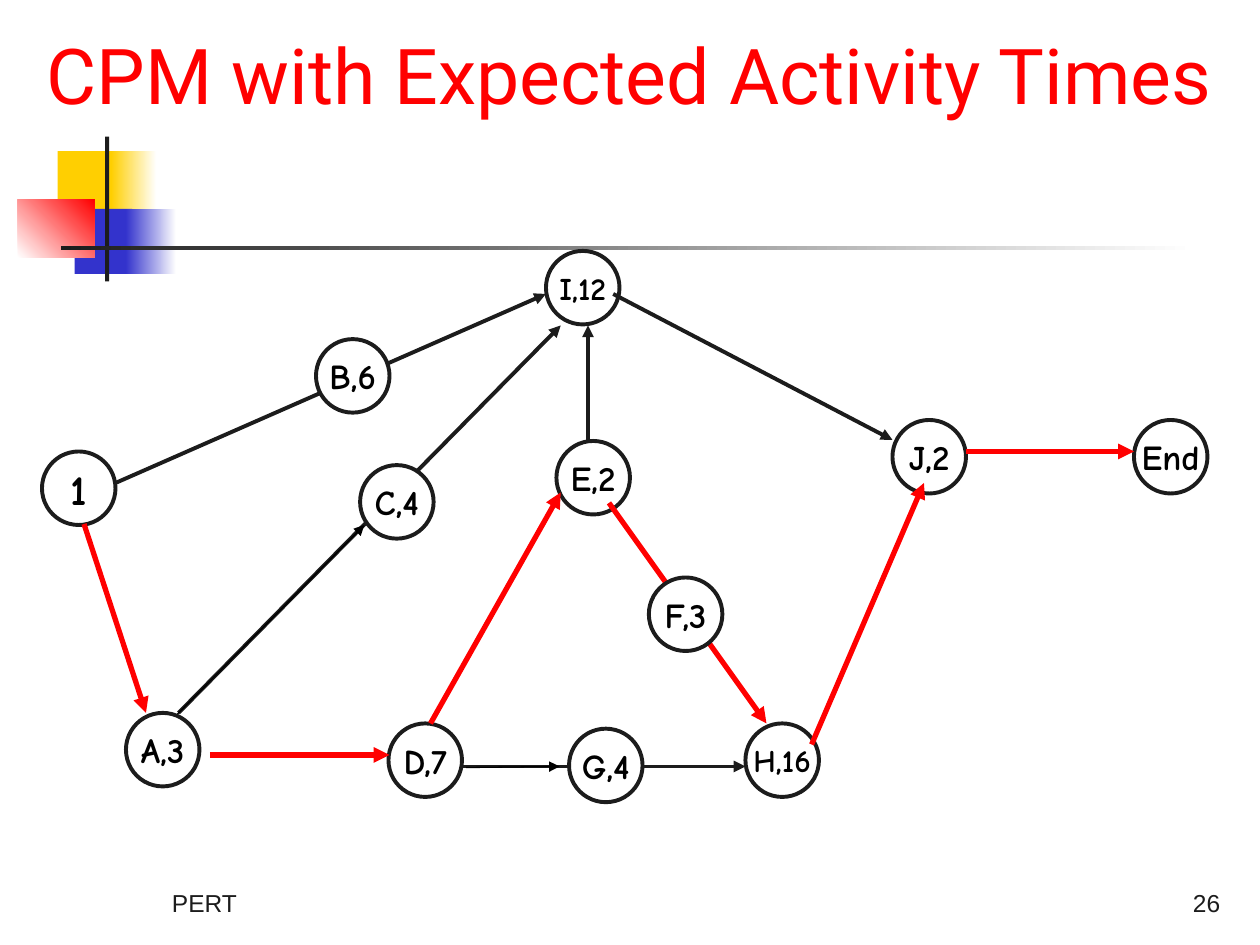
from lxml import etree
from pptx import Presentation
from pptx.dml.color import RGBColor
from pptx.enum.shapes import MSO_CONNECTOR, MSO_SHAPE
from pptx.enum.text import MSO_ANCHOR, MSO_AUTO_SIZE, PP_ALIGN
from pptx.oxml.ns import qn
from pptx.util import Inches, Pt

ELLIPSE, RECTANGLE = MSO_SHAPE.OVAL, MSO_SHAPE.RECTANGLE
STRAIGHT = MSO_CONNECTOR.STRAIGHT
BOTTOM, MIDDLE = MSO_ANCHOR.BOTTOM, MSO_ANCHOR.MIDDLE
LEFT, CENTER, RIGHT = PP_ALIGN.LEFT, PP_ALIGN.CENTER, PP_ALIGN.RIGHT
NO_AUTOFIT = MSO_AUTO_SIZE.NONE

COLUMNS, ROWS = 120, 90
NODE_SIZE = 7
INK, RED, BLACK, WHITE = "1C1C1C", "FF0000", "000000", "FFFFFF"
YELLOW, BLUE = "FFCF01", "3333CC"

# left, top, width, height, colours from start to end, gradient angle
ORNAMENT = [
    (5.5, 14.4, 5.8, 6.2, [YELLOW], 0),
    (10.6, 14.4, 4.3, 6.2, [YELLOW, WHITE], 0),
    (7.1, 19.9, 5.5, 6.2, [BLUE], 0),
    (12, 19.9, 4.8, 6.2, [BLUE, WHITE], 0),
    (1.7, 19, 7.3, 5.5, [WHITE, RED], 45),
    (10, 13, 0.4, 13.8, [INK], 0),
    (5.8, 23.4, 108, 0.4, [INK, WHITE], 0),
]
# label, left, top, text size
MAIN_ACTIVITIES = [
    ("1", 4, 43, 24), ("A,3", 12, 67.9, 20), ("D,7", 37, 68.9, 20),
    ("E,2", 53, 42, 20), ("H,16", 71, 68.9, 18), ("J,2", 85, 40, 20),
    ("I,12", 52, 23.9, 18), ("End", 108, 40, 20),
]
MIDWAY_ACTIVITIES = [
    ("B,6", 30.1, 32.3, 20), ("C,4", 34.3, 44.3, 20),
    ("F,3", 61.8, 55, 20), ("G,4", 54.2, 69.4, 20),
]
# start column and row, end column and row
CRITICAL_PATH = [
    (8, 49.9, 13.9, 67.9), (20, 71.9, 37.1, 71.9), (41, 68.9, 53.4, 46.9),
    (58, 47.9, 73, 68.9), (77.3, 70.9, 88, 46), (92, 43, 108, 43),
]
OTHER_PATHS = [
    (11, 46, 52, 28), (17, 67.9, 53.4, 31), (44, 73, 71, 73),
    (58.4, 28, 85, 41.9), (56, 41.9, 56, 31),
]
MIDWAY_ARROWS = [(16.9, 68, 34.7, 50), (44.4, 73.1, 53.3, 73)]


def rgb(value):
    return RGBColor.from_string(value)


class NetworkSlide:
    """Current slide, its cell grid and its text styles."""

    styles = {
        "title": {"name": "Roboto", "size": Pt(44), "bold": False},
        "footer": {"name": "Arial", "size": Pt(14)},
        "node": {"name": "Comic Neue", "bold": True},
    }

    def __init__(self, deck):
        self.deck = deck
        self.slide = deck.slides.add_slide(deck.slide_layouts[5])

    def cells(self, *lengths):
        """Turn alternating columns and rows into slide lengths."""
        units = (self.deck.slide_width / COLUMNS, self.deck.slide_height / ROWS)
        return [round(length * units[i % 2]) for i, length in enumerate(lengths)]

    def set_text(self, shape, text, style, colour, align, anchor, wrap=True, **extra):
        frame = shape.text_frame
        layout = {"text": text, "word_wrap": wrap, "vertical_anchor": anchor,
                  "auto_size": NO_AUTOFIT}
        for key, value in layout.items():
            setattr(frame, key, value)
        paragraph = frame.paragraphs[0]
        paragraph.alignment = align
        for key, value in {**self.styles[style], **extra}.items():
            setattr(paragraph.font, key, value)
        paragraph.font.color.rgb = rgb(colour)

    def title(self, text, *box):
        title = self.slide.shapes.title
        title.left, title.top, title.width, title.height = self.cells(*box)
        self.set_text(title, text, "title", RED, CENTER, BOTTOM)

    def footer(self, text, align, *box):
        footer = self.slide.shapes.add_textbox(*self.cells(*box))
        self.set_text(footer, text, "footer", INK, align, BOTTOM)

    def block(self, left, top, width, height, colours, angle):
        block = self.slide.shapes.add_shape(
            RECTANGLE, *self.cells(left, top, width, height))
        block.shadow.inherit = False
        block.line.fill.background()
        if len(colours) == 1:
            block.fill.solid()
            block.fill.fore_color.rgb = rgb(colours[0])
        else:
            block.fill.gradient()
            block.fill.gradient_angle = angle
            for stop, colour in zip(block.fill.gradient_stops, colours):
                stop.color.rgb = rgb(colour)

    def node(self, label, left, top, size):
        node = self.slide.shapes.add_shape(
            ELLIPSE, *self.cells(left, top, NODE_SIZE, NODE_SIZE))
        node.shadow.inherit = False
        node.fill.solid()
        node.fill.fore_color.rgb = rgb(WHITE)
        node.line.color.rgb = rgb(INK)
        node.line.width = Pt(2.25)
        self.set_text(node, label, "node", BLACK, CENTER, MIDDLE,
                      wrap=False, size=Pt(size))

    def arrow(self, ends, colour, width):
        arrow = self.slide.shapes.add_connector(STRAIGHT, *self.cells(*ends))
        arrow.line.color.rgb = rgb(colour)
        arrow.line.width = Pt(width)
        properties = arrow.element.spPr
        outline = properties.find(qn("a:ln"))
        etree.SubElement(outline, qn("a:tailEnd"), type="triangle")
        etree.SubElement(properties, qn("a:effectLst"))


def main():
    deck = Presentation()
    deck.slide_width, deck.slide_height = Inches(10), Inches(7.5)
    network = NetworkSlide(deck)

    for block in ORNAMENT:
        network.block(*block)
    network.title("CPM with Expected Activity Times", 0, 5, 120, 7)
    network.footer("PERT", LEFT, 15.2, 82, 25, 6)
    network.footer("26", RIGHT, 92.4, 82, 25, 6)

    for activity in MAIN_ACTIVITIES:
        network.node(*activity)
    for ends in OTHER_PATHS:
        network.arrow(ends, INK, 2.25)
    for ends in CRITICAL_PATH:
        network.arrow(ends, RED, 3)
    for activity in MIDWAY_ACTIVITIES:
        network.node(*activity)
    for ends in MIDWAY_ARROWS:
        network.arrow(ends, BLACK, 0.75)

    deck.save("out.pptx")


if __name__ == "__main__":
    main()
